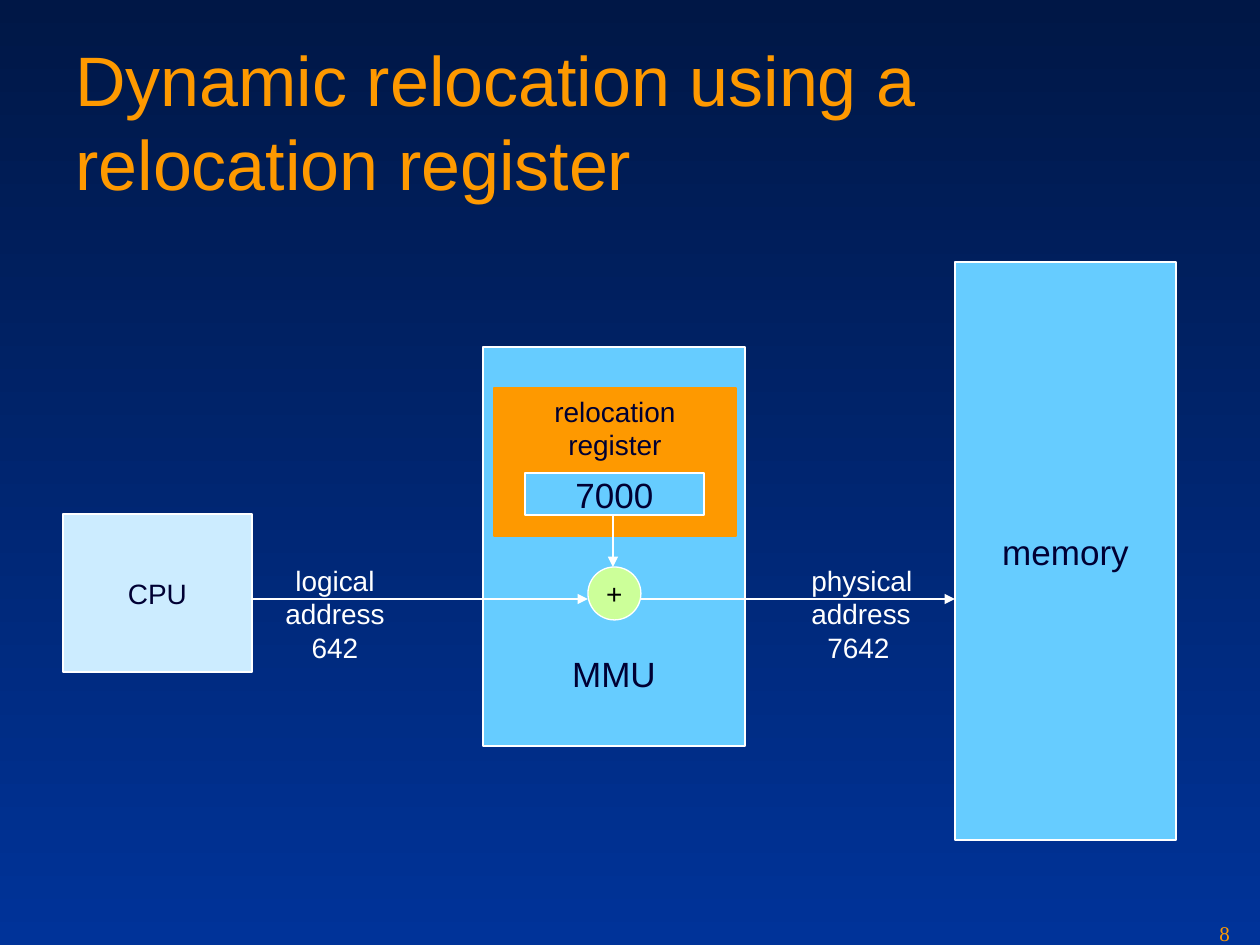
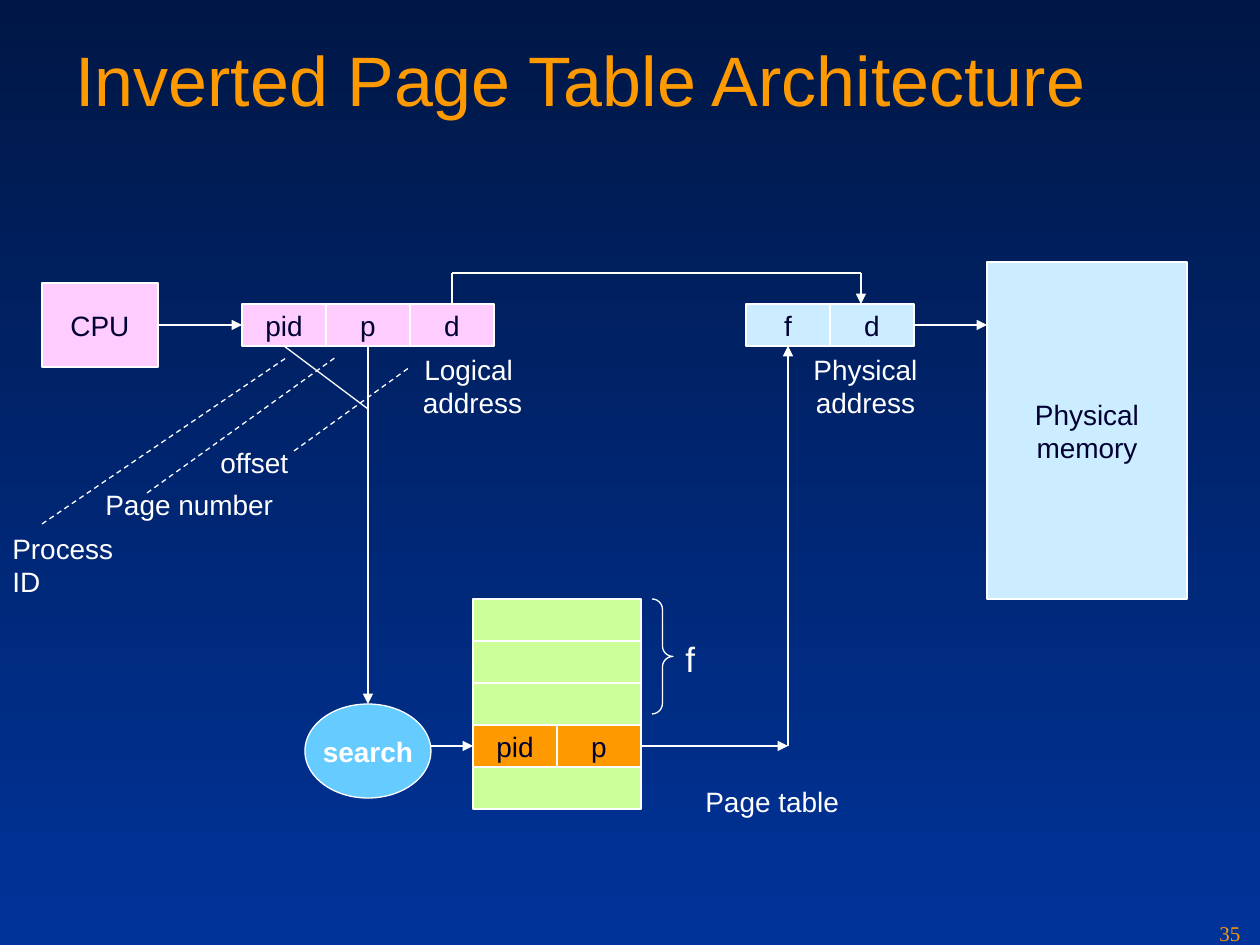
from lxml import etree
from pptx import Presentation
from pptx.dml.color import RGBColor
from pptx.enum import dml, shapes, text
from pptx.oxml import ns
from pptx.util import Emu, Pt

SCALE = 914400 / 126
WIDE, HIGH = 1260, 945
WHITE, INK, BLACK = "FFFFFF", "000033", "000000"
GOLD, SKY, ICE, LIME, PINK = "FE9900", "66CCFF", "CCECFF", "CCFF99", "FFCCFF"
TOP, BASE = "001746", "003399"
SANS, SERIF = "Arial", "Times New Roman"
RECT, OVAL = shapes.MSO_SHAPE.RECTANGLE, shapes.MSO_SHAPE.OVAL
LEFT, MID = text.PP_ALIGN.LEFT, text.PP_ALIGN.CENTER
UPPER, CENTRE, LOWER = text.MSO_ANCHOR.TOP, text.MSO_ANCHOR.MIDDLE, text.MSO_ANCHOR.BOTTOM
ROW, COL = 42, 84


def px(n):
    return Emu(round(n * SCALE))


def hue(code):
    return RGBColor.from_string(code)


def write(frame, words, size, ink, align=MID, font=SANS, bold=False):
    for i, para in enumerate(words.split("|")):
        p = frame.paragraphs[0] if i == 0 else frame.add_paragraph()
        p.alignment = align
        for j, line in enumerate(para.split("\n")):
            if j:
                p.add_line_break()
            run = p.add_run()
            run.text = line
            run.font.name, run.font.size, run.font.bold = font, Pt(size), bold
            run.font.color.rgb = hue(ink)


def box(slide, x, y, w, h, fill, words="", size=16, ink=INK, kind=RECT,
        edge=WHITE, anchor=CENTRE, foot=6, bold=False):
    shape = slide.shapes.add_shape(kind, px(x), px(y), px(w), px(h))
    shape.shadow.inherit = False
    shape.fill.solid()
    shape.fill.fore_color.rgb = hue(fill)
    shape.line.color.rgb = hue(edge)
    shape.line.width = Pt(0.75)
    frame = shape.text_frame
    frame.word_wrap = False
    frame.vertical_anchor = anchor
    frame.margin_bottom = px(foot)
    if words:
        write(frame, words, size, ink, bold=bold)


def label(slide, x, y, w, h, words, size=16, ink=WHITE, align=LEFT, font=SANS, wrap=False):
    frame = slide.shapes.add_textbox(px(x), px(y), px(w), px(h)).text_frame
    frame.word_wrap = wrap
    write(frame, words, size, ink, align, font)
    return frame


def link(slide, x, y, right, low, arrow=True, dash=False):
    line = slide.shapes.add_connector(
        shapes.MSO_CONNECTOR.STRAIGHT, px(x), px(y), px(right), px(low))
    line.line.color.rgb = hue(WHITE)
    line.line.width = Pt(0.75)
    if dash:
        line.line.dash_style = dml.MSO_LINE.DASH
    if arrow:
        tail = etree.SubElement(line.line._get_or_add_ln(), ns.qn("a:tailEnd"))
        tail.set("type", "triangle")
    etree.SubElement(line._element.spPr, ns.qn("a:effectLst"))


def cells(slide, x, y, names, fill):
    for i, name in enumerate(names):
        box(slide, x + i * COL, y, COL, ROW, fill, name)


def page(deck, title, number):
    slide = deck.slides.add_slide(deck.slide_layouts[6])
    fill = slide.background.fill
    fill.gradient()
    fill.gradient_angle = 270
    for stop, code in zip(fill.gradient_stops, (TOP, BASE)):
        stop.color.rgb = hue(code)
    label(slide, 63, 30, 1134, 158, title, 40, GOLD, wrap=True)
    label(slide, 1207, 914, 53, 31, number, 12, GOLD, font=SERIF, wrap=True)
    return slide


def mmu(slide, x, y, w, h):
    box(slide, x, y, w, h, SKY, "MMU", 20, anchor=LOWER, foot=51)
    box(slide, x + 11, y + 41, w - 20, 148, GOLD, "relocation\nregister",
        edge=GOLD, anchor=UPPER)
    box(slide, x + 42, y + 126, 179, ROW, SKY, "7000", 20)
    box(slide, x + 105, y + 220, 53, 53, LIME, "+", ink=BLACK, kind=OVAL)
    link(slide, x + 130, y + 168, x + 130, y + 220)


def flow(slide, x, y):
    link(slide, x, y, x + 336, y)
    link(slide, x + 389, y, x + 703, y)
    label(slide, x, y - 42, 166, 113, "logical\naddress|642", align=MID, wrap=True)
    frame = label(slide, x + 547, y - 42, 126, 113, "physical\naddress|7642")
    frame.paragraphs[1]._p.get_or_add_pPr().set("marL", str(px(16)))


def move(deck):
    slide = page(deck, "Dynamic relocation using a relocation register", "8")
    mmu(slide, 483, 347, 262, 399)
    box(slide, 955, 262, 221, 578, SKY, "memory", 20)
    box(slide, 63, 514, 189, 158, ICE, "CPU")
    flow(slide, 252, 599)


def logic(slide, x, y):
    cells(slide, x, y, ("pid", "p", "d"), PINK)
    label(slide, x + 168, y + 42, 125, 81, "Logical \naddress", align=MID)
    link(slide, x + 42, y + 42, x + 126, y + 105, arrow=False)
    for left, low, right, high in ((-200, 220, 44, 54), (-95, 189, 94, 53), (52, 147, 168, 63)):
        link(slide, x + left, y + low, x + right, y + high, arrow=False, dash=True)
    for left, low, wide, name in ((-242, 221, 161, "Process ID"),
                                  (-149, 177, 193, "Page number"),
                                  (-34, 135, 93, "offset")):
        label(slide, x + left, y + low, wide, 47, name)


def real(slide, x, y):
    cells(slide, x, y, ("f", "d"), ICE)
    label(slide, x + 55, y + 42, 129, 81, "Physical\naddress", align=MID)


def table(slide, x, y):
    for i in (0, 1, 2, 4):
        box(slide, x, y + i * ROW, 2 * COL, ROW, LIME)
    cells(slide, x, y + 3 * ROW, ("pid", "p"), GOLD)
    brace = slide.shapes.add_shape(
        shapes.MSO_SHAPE.RIGHT_BRACE, px(x + 179), px(y), px(21), px(115))
    brace.shadow.inherit = False
    brace.adjustments[0] = 0.5
    brace.fill.background()
    brace.line.color.rgb = hue(WHITE)
    brace.line.width = Pt(0.75)
    label(slide, x + 200, y + 32, 34, 55, "f", 20)
    label(slide, x + 220, y + 179, 159, 47, "Page table")


def invert(deck):
    slide = page(deck, "Inverted Page Table Architecture", "35")
    box(slide, 42, 283, 116, 84, PINK, "CPU")
    box(slide, 987, 262, 200, 337, ICE, "Physical\nmemory")
    logic(slide, 242, 304)
    real(slide, 746, 304)
    table(slide, 473, 599)
    box(slide, 305, 704, 126, 94, SKY, "search", ink=WHITE, kind=OVAL, bold=True)
    for ends in ((158, 325, 242, 325), (368, 346, 368, 704), (431, 746, 473, 746),
                 (641, 746, 788, 746), (788, 746, 788, 346), (914, 325, 987, 325),
                 (861, 273, 861, 304)):
        link(slide, *ends)
    link(slide, 452, 304, 452, 273, arrow=False)
    link(slide, 452, 273, 861, 273, arrow=False)


def main():
    deck = Presentation()
    deck.slide_width, deck.slide_height = px(WIDE), px(HIGH)
    move(deck)
    invert(deck)
    deck.save("out.pptx")


if __name__ == "__main__":
    main()
